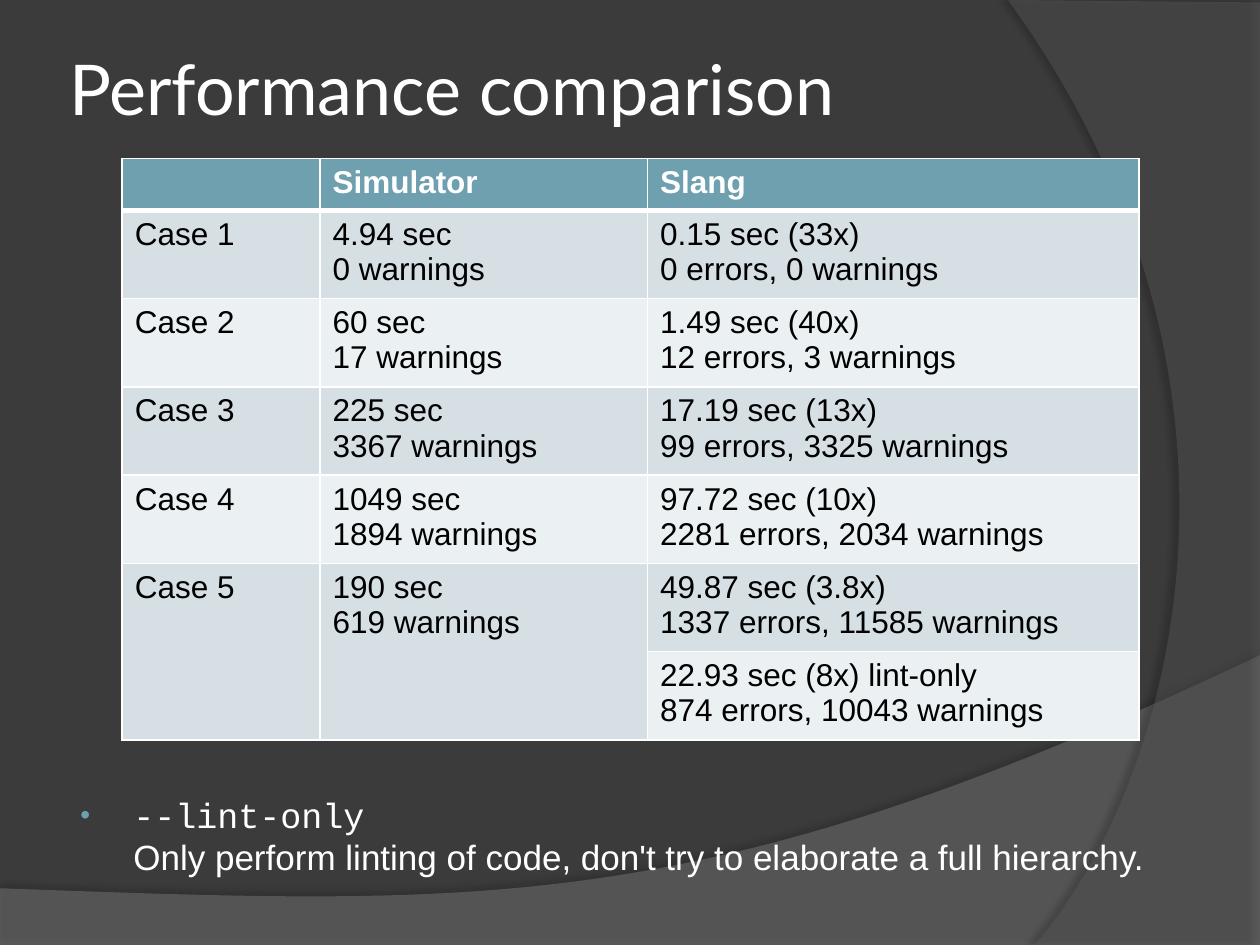
from dataclasses import dataclass

from lxml.etree import SubElement as Sub
from pptx import Presentation
from pptx.dml.color import RGBColor as Rgb
from pptx.enum.text import MSO_ANCHOR as Anchor, PP_ALIGN as Align
from pptx.oxml.ns import qn
from pptx.util import Inches, Pt

WHITE, BLACK, TEAL = "FFFFFF", "000000", "6EA0B0"
BANDS = ("D5DFE4", "EBF0F2")


@dataclass
class Wave:
    start: tuple
    lines: list
    curve: list
    fill: str
    alpha: int
    dark: int
    dist: float
    angle: int


@dataclass
class Font:
    name: str
    size: int
    color: str
    bold: bool = False


WAVES = [
    Wave((0, 7.05), [(0, 7.51), (10, 7.51), (10, 5.2)],
         [(5.59, 7.29), (3.91, 7.19), (0, 7.05)], "7F7F7F", 45, 35, 3.5, 270),
    Wave((10, 0.02), [(10, 7.5), (8.21, 7.5)],
         [(9.35, 6.19), (10.18, 3), (8, 0)], "5E5E5E", 40, 45, 4, 180),
]
ROWS = [
    ("", "Simulator", "Slang"),
    ("Case 1", "4.94 sec\v0 warnings", "0.15 sec (33x)\v0 errors, 0 warnings"),
    ("Case 2", "60 sec\v17 warnings", "1.49 sec (40x)\v12 errors, 3 warnings"),
    ("Case 3", "225 sec\n3367 warnings", "17.19 sec (13x)\n99 errors, 3325 warnings"),
    ("Case 4", "1049 sec\n1894 warnings", "97.72 sec (10x)\n2281 errors, 2034 warnings"),
    ("Case 5", "190 sec\n619 warnings", "49.87 sec (3.8x)\n1337 errors, 11585 warnings"),
    ("", "", "22.93 sec (8x) lint-only\n874 errors, 10043 warnings"),
]


def paint(fill, color: str) -> None:
    fill.solid()
    fill.fore_color.rgb = Rgb.from_string(color)


def write(para, text: str, font: Font) -> None:
    for i, part in enumerate(text.split("\v")):
        if i:
            para.add_line_break()
        run = para.add_run()
        run.text = part
        run.font.name = font.name
        run.font.size = Pt(font.size)
        run.font.bold = font.bold
        run.font.color.rgb = Rgb.from_string(font.color)


def place(shape, left: float, top: float, width: float, height: float) -> None:
    shape.left, shape.top = Inches(left), Inches(top)
    shape.width, shape.height = Inches(width), Inches(height)


def bend(shape, curve: list) -> None:
    last = list(shape.element.iter(qn("a:lnTo")))[-1]
    arc = Sub(last.getparent(), qn("a:cubicBezTo"))
    last.getparent().replace(last, arc)
    for x, y in curve:
        Sub(arc, qn("a:pt"), x=str(Inches(x) - shape.left), y=str(Inches(y) - shape.top))


def draw_wave(slide, wave: Wave) -> None:
    points = wave.lines + wave.curve[-1:]
    pen = slide.shapes.build_freeform(*(Inches(v) for v in wave.start))
    pen.add_line_segments([(Inches(x), Inches(y)) for x, y in points], close=True)
    shape = pen.convert_to_shape()
    bend(shape, wave.curve)
    paint(shape.fill, wave.fill)
    shape.line.fill.background()
    shape.shadow.inherit = False
    props = shape.element.spPr
    tint = props.find(qn("a:solidFill")).find(qn("a:srgbClr"))
    Sub(tint, qn("a:alpha"), val=str(wave.alpha * 1000))
    shade = Sub(props.find(qn("a:effectLst")), qn("a:outerShdw"), blurRad=str(Pt(4)),
                dist=str(Pt(wave.dist)), dir=str(wave.angle * 60000), rotWithShape="0")
    tone = Sub(shade, qn("a:srgbClr"), val=BLACK)
    Sub(tone, qn("a:alpha"), val=str(wave.dark * 1000))


def edge(cell, sides: dict) -> None:
    props = cell._tc.get_or_add_tcPr()
    for side, width in sides.items():
        line = Sub(props, qn(f"a:ln{side}"), w=str(Pt(width)))
        Sub(Sub(line, qn("a:solidFill")), qn("a:srgbClr"), val=WHITE)


def draw_table(slide) -> None:
    widths = (1.57, 2.6, 3.9)
    high = 0.41
    frame = slide.shapes.add_table(len(ROWS), len(widths), Inches(0.97), Inches(1.26),
                                   Inches(sum(widths)), Inches(high * len(ROWS)))
    table = frame.table
    for col, width in zip(table.columns, widths):
        col.width = Inches(width)
    for i, texts in enumerate(ROWS):
        font = Font("Arial", 18, BLACK if i else WHITE, i == 0)
        for j, text in enumerate(texts):
            cell = table.cell(i, j)
            edge(cell, {"L": 1, "R": 1, "T": 3 if i == 1 else 1, "B": 1 if i else 3})
            paint(cell.fill, BANDS[(i - 1) % 2] if i else TEAL)
            for k, line in enumerate(text.split("\n") if text else []):
                body = cell.text_frame
                write(body.add_paragraph() if k else body.paragraphs[0], line, font)
    for j in range(2):
        table.cell(5, j).merge(table.cell(6, j))


def draw_title(slide) -> None:
    title = slide.shapes.title
    place(title, 0.5, 0.3, 9, 0.79)
    body = title.text_frame
    body.vertical_anchor = Anchor.MIDDLE
    body.margin_left = body.margin_right = Inches(0.05)
    body.margin_top = body.margin_bottom = Inches(0.05)
    para = body.paragraphs[0]
    para.alignment = Align.LEFT
    write(para, "Performance comparison", Font("Lato", 40, WHITE))
    slide.shapes.element.append(title.element)


def draw_note(slide) -> None:
    box = slide.shapes.add_textbox(Inches(0.5), Inches(6.25), Inches(9), Inches(0.75))
    box.text_frame.word_wrap = True
    para = box.text_frame.paragraphs[0]
    props = para._p.get_or_add_pPr()
    props.set("marL", str(Inches(0.46)))
    props.set("indent", str(Inches(-0.42)))
    Sub(Sub(props, qn("a:buClr")), qn("a:srgbClr"), val=TEAL)
    Sub(props, qn("a:buSzPct"), val="80000")
    Sub(props, qn("a:buFont"), typeface="Arial")
    Sub(props, qn("a:buChar"), char="•")
    write(para, "--lint-only", Font("Courier New", 20, WHITE))
    para.add_line_break()
    write(para, "Only perform linting of code, don't try to elaborate a full hierarchy.",
          Font("Arial", 20, WHITE))


def main() -> None:
    deck = Presentation()
    deck.slide_width, deck.slide_height = Inches(10), Inches(7.5)
    slide = deck.slides.add_slide(deck.slide_layouts[5])
    paint(slide.background.fill, "3B3B3B")
    for wave in WAVES:
        draw_wave(slide, wave)
    draw_title(slide)
    draw_note(slide)
    draw_table(slide)
    deck.save("out.pptx")


if __name__ == "__main__":
    main()
